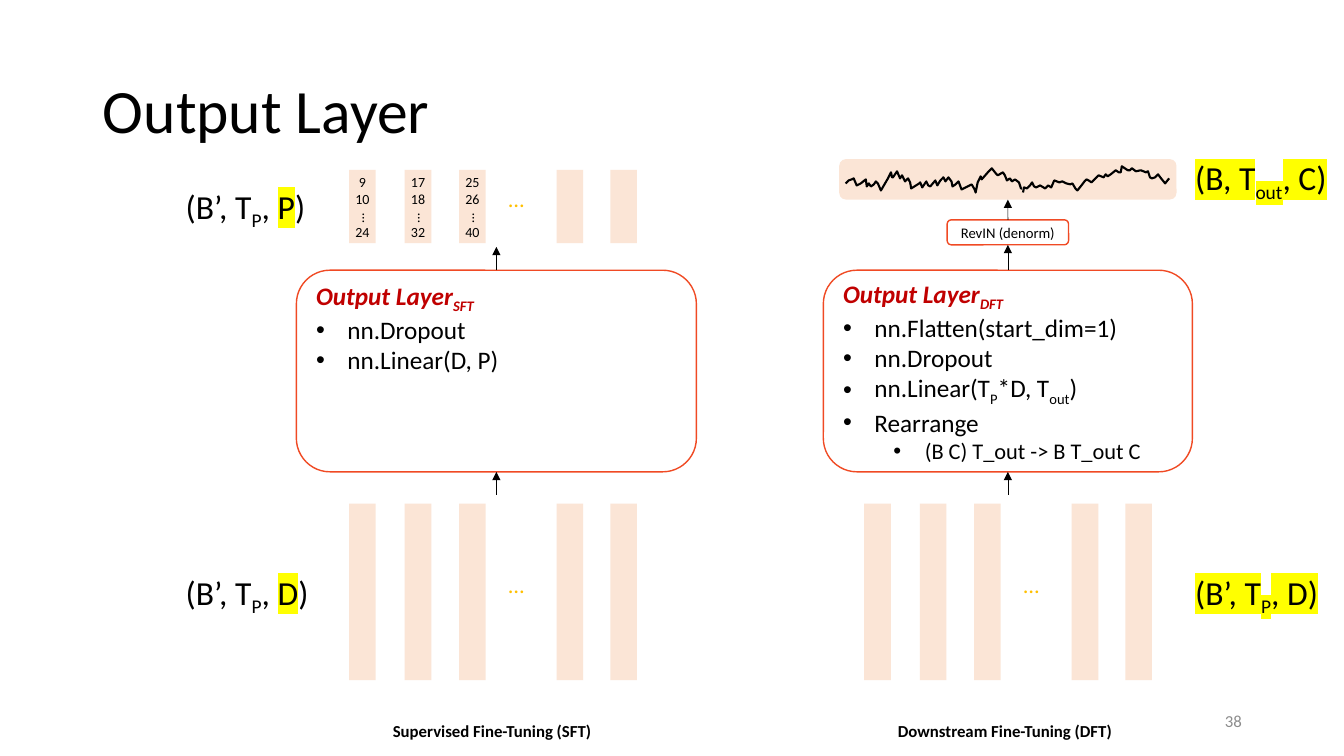
from dataclasses import dataclass

import pptx
import pptx.dml.color
import pptx.enum.shapes
import pptx.enum.text
import pptx.oxml
import pptx.oxml.ns
import pptx.util
from lxml import etree

Cm, Pt = pptx.util.Cm, pptx.util.Pt
SHAPE = pptx.enum.shapes.MSO_SHAPE
ALIGN = pptx.enum.text.PP_ALIGN
ANCHOR = pptx.enum.text.MSO_ANCHOR
qn = pptx.oxml.ns.qn


@dataclass(frozen=True)
class Theme:
    font: str = "Calibri"
    ink: str = "000000"
    grey: str = "8C8C8C"
    peach: str = "FBE5D6"
    outline: str = "F04A24"
    heading: str = "C00000"
    dots: str = "FFC000"
    marker: str = "FFFF00"
    title: float = 44
    label: float = 24
    body: float = 18
    detail: float = 16
    caption: float = 12
    small: float = 10.5
    tiny: float = 10


THEME = Theme()


@dataclass(frozen=True)
class Span:
    text: str
    sub: bool = False
    marked: bool = False


@dataclass(frozen=True)
class Line:
    spans: tuple[Span, ...]
    size: float
    colour: str = THEME.ink
    bold: bool = False
    italic: bool = False
    indent: float = 0  # bullet text indent in cm
    align: ALIGN = ALIGN.LEFT
    before: float = 0


@dataclass(frozen=True)
class Area:
    left: float
    top: float
    width: float
    height: float


@dataclass(frozen=True)
class Label:
    area: Area
    spans: tuple[Span, ...]


def plain(text: str, size: float, **style) -> Line:
    return Line((Span(text),), size, **style)


def cm(area: Area) -> tuple:
    return Cm(area.left), Cm(area.top), Cm(area.width), Cm(area.height)


def rgb(colour: str):
    return pptx.dml.color.RGBColor.from_string(colour)


def add_bullet(para, indent: float) -> None:
    props = para._p.get_or_add_pPr()
    props.set("marL", str(Cm(indent)))
    props.set("indent", str(-Cm(0.79)))
    etree.SubElement(props, qn("a:buFont")).set("typeface", "Arial")
    etree.SubElement(props, qn("a:buChar")).set("char", "•")


def write(frame, lines: list[Line]) -> None:
    for index, line in enumerate(lines):
        para = frame.add_paragraph() if index else frame.paragraphs[0]
        if line.indent:
            add_bullet(para, line.indent)
        para.alignment = line.align
        if line.before:
            para.space_before = Pt(line.before)
        para.text = line.spans[0].text
        for span in line.spans[1:]:
            para.add_run().text = span.text
        for run, span in zip(para.runs, line.spans):
            font = run.font
            font.name, font.size = THEME.font, Pt(line.size)
            font.bold, font.italic = line.bold, line.italic
            font.color.rgb = rgb(line.colour)
            props = run._r.get_or_add_rPr()
            if span.sub:
                props.set("baseline", "-25000")
            if span.marked:
                highlight = etree.Element(qn("a:highlight"))
                etree.SubElement(highlight, qn("a:srgbClr")).set("val", THEME.marker)
                props.find(qn("a:solidFill")).addnext(highlight)


def add_text(page, area: Area, lines: list[Line], wrap: bool = False):
    box = page.shapes.add_textbox(*cm(area))
    box.text_frame.word_wrap = wrap
    write(box.text_frame, lines)
    return box


def add_block(page, kind: SHAPE, area: Area, fill: str = "", outline: str = ""):
    block = page.shapes.add_shape(kind, *cm(area))
    block.shadow.inherit = False
    if fill:
        block.fill.solid()
        block.fill.fore_color.rgb = rgb(fill)
    else:
        block.fill.background()
    if outline:
        block.line.color.rgb = rgb(outline)
        block.line.width = Pt(1)
    else:
        block.line.fill.background()
    return block


def add_panel(page, area: Area, lines: list[Line], anchor: ANCHOR):
    panel = add_block(page, SHAPE.ROUNDED_RECTANGLE, area, outline=THEME.outline)
    panel.text_frame.vertical_anchor = anchor
    panel.text_frame.word_wrap = True
    write(panel.text_frame, lines)
    return panel


def add_arrow(page, x: float, start: float, end: float, source=None, target=None) -> None:
    arrow = page.shapes.add_connector(
        pptx.enum.shapes.MSO_CONNECTOR.STRAIGHT, Cm(x), Cm(start), Cm(x), Cm(end))
    if source is not None:
        arrow.begin_connect(source, 0)
    if target is not None:
        arrow.end_connect(target, 2)
    arrow.line.color.rgb = rgb(THEME.ink)
    arrow.line.width = Pt(0.5)
    etree.SubElement(arrow.line._get_or_add_ln(), qn("a:tailEnd")).set("type", "triangle")
    etree.SubElement(arrow._element.spPr, qn("a:effectLst"))


BAR_WIDTH = 0.67
BAR_STEPS = (0, 1.4, 2.77, 5.23, 6.58)


def add_bars(page, left: float, top: float, height: float, dots_top: float) -> None:
    for step in BAR_STEPS:
        add_block(page, SHAPE.RECTANGLE, Area(left + step, top, BAR_WIDTH, height), THEME.peach)
    add_text(page, Area(left + 3.77, dots_top, 0.91, 0.81),
             [plain("…", THEME.detail, colour=THEME.dots)])


# Signal points in hundredths of an inch
WAVE_UNIT = Cm(0.0254)
WAVES = (
    [(839, 182), (842, 179), (845, 178), (847, 177), (850, 184), (854, 182), (859, 178),
     (860, 185), (862, 182), (864, 185), (867, 183), (869, 180), (871, 182), (874, 189),
     (881, 177), (884, 171), (885, 176), (886, 176), (890, 170), (893, 177), (895, 174),
     (898, 180), (901, 177), (903, 181), (904, 187), (912, 182), (913, 181), (915, 186),
     (919, 180), (921, 184), (923, 185), (928, 179), (930, 184), (933, 179), (936, 176),
     (938, 180), (941, 176), (944, 180), (945, 185), (948, 183), (951, 180), (954, 188),
     (962, 184), (964, 183), (967, 188), (968, 191), (970, 181), (973, 175), (974, 178),
     (981, 170), (984, 167), (988, 172), (990, 174), (995, 171), (997, 174), (999, 179),
     (1002, 177), (1004, 180), (1007, 178), (1011, 181), (1013, 187), (1014, 187)],
    [(1160, 177), (1156, 182), (1152, 177), (1149, 173), (1146, 176), (1143, 177),
     (1141, 176), (1139, 170), (1137, 171), (1132, 169), (1127, 170), (1123, 167),
     (1121, 169), (1119, 169), (1113, 165), (1112, 171), (1110, 171), (1107, 169),
     (1102, 173), (1099, 175), (1097, 173), (1095, 176), (1090, 174), (1086, 178),
     (1083, 181), (1080, 179), (1078, 178), (1076, 180), (1073, 184), (1069, 189),
     (1067, 187), (1064, 182), (1062, 183), (1058, 182), (1054, 180), (1051, 181),
     (1046, 179), (1043, 186), (1040, 184), (1037, 187), (1032, 184), (1028, 186),
     (1026, 185), (1024, 181), (1022, 184), (1019, 187), (1016, 186), (1015, 191)],
)
SFT_X, DFT_X = 12.51, 25.4
SFT_BARS, DFT_BARS = 8.8, 21.78
HEADING = dict(size=THEME.body, colour=THEME.heading, bold=True, italic=True)
SFT_LINES = [
    Line((Span("Output Layer"), Span("SFT", sub=True)), **HEADING),
    *(plain(text, THEME.body, indent=0.79) for text in ("nn.Dropout", "nn.Linear(D, P)")),
]
DFT_LINES = [
    Line((Span("Output Layer"), Span("DFT", sub=True)), **HEADING),
    *(plain(text, THEME.body, indent=0.79) for text in ("nn.Flatten(start_dim=1)", "nn.Dropout")),
    Line((Span("nn.Linear(T"), Span("P", sub=True), Span("*D, T"), Span("out", sub=True),
          Span(")")), THEME.body, indent=0.79),
    plain("Rearrange", THEME.body, indent=0.79),
    plain("(B C) T_out -> B T_out C", THEME.detail, indent=2.06),
]
BATCH = (Span("(B’, T"), Span("P", sub=True), Span(", "))
LABELS = (
    Label(Area(4.43, 4.55, 3.7, 1.27), (*BATCH, Span("P", marked=True), Span(")"))),
    Label(Area(4.43, 14.28, 3.7, 1.27), (*BATCH, Span("D", marked=True), Span(")"))),
    Label(Area(29.87, 14.28, 3.7, 1.27),
          (Span("(B’, T", marked=True), Span("P", True, True), Span(", D)", marked=True))),
    Label(Area(29.87, 3.84, 3.95, 1.27),
          (Span("(B, T", marked=True), Span("out", True, True), Span(", C)", marked=True))),
)
PATCHES = (("9", "10", "24"), ("17", "18", "32"), ("25", "26", "40"))
CAPTIONS = ((Area(9.65, 18.03, 5.87, 0.76), "Supervised Fine-Tuning (SFT)"),
            (Area(22.38, 18.03, 6.17, 0.76), "Downstream Fine-Tuning (DFT)"))


def main() -> None:
    deck = pptx.Presentation()
    deck.slide_width, deck.slide_height = Cm(33.87), Cm(19.05)
    page = deck.slides.add_slide(deck.slide_layouts[5])

    # Title and page number
    title = page.shapes.title
    title.left, title.top, title.width, title.height = cm(Area(2.34, 1.02, 29.21, 3.68))
    title.text_frame.vertical_anchor = ANCHOR.MIDDLE
    write(title.text_frame, [plain("Output Layer", THEME.title)])
    title.text_frame.paragraphs[0].line_spacing = 0.9
    number = add_text(page, Area(23.93, 17.65, 7.62, 1.02),
                      [plain("38", THEME.caption, colour=THEME.grey, align=ALIGN.RIGHT)], True)
    number.text_frame.vertical_anchor = ANCHOR.MIDDLE

    # Embedding bars and output patches
    for left in (SFT_BARS, DFT_BARS):
        add_bars(page, left, 12.69, 4.45, 14.27)
    add_bars(page, SFT_BARS, 4.28, 1.85, 4.55)
    for step, (first, second, last) in zip(BAR_STEPS, PATCHES):
        left = SFT_BARS + step
        add_text(page, Area(left - 0.11, 4.24, 0.89, 1.96), [
            plain(first, THEME.tiny, align=ALIGN.CENTER),
            plain(second, THEME.tiny, align=ALIGN.CENTER),
            plain(last, THEME.tiny, align=ALIGN.CENTER, before=12)])
        dots = add_text(page, Area(left + 0.14, 5.11, 0.66, 0.69), [plain("…", THEME.tiny)])
        dots.rotation = 90

    # Output signal
    signal = add_block(page, SHAPE.ROUNDED_RECTANGLE, Area(DFT_X - 4.25, 4.01, 8.5, 1.02), THEME.peach)
    for points in WAVES:
        builder = page.shapes.build_freeform(*points[0], scale=WAVE_UNIT)
        builder.add_line_segments(points[1:], close=False)
        wave = builder.convert_to_shape()
        wave.shadow.inherit = False
        wave.fill.background()
        wave.line.color.rgb = rgb(THEME.ink)
        wave.line.width = Pt(1.5)

    # Layer panels
    sft = add_panel(page, Area(SFT_X - 5.04, 6.81, 10.08, 5.08), SFT_LINES, ANCHOR.TOP)
    sft.text_frame.margin_top = 0
    dft = add_panel(page, Area(DFT_X - 4.65, 6.81, 9.3, 5.08), DFT_LINES, ANCHOR.MIDDLE)
    revin = add_panel(page, Area(DFT_X - 1.53, 5.54, 3.06, 0.63),
                      [plain("RevIN (denorm)", THEME.small, align=ALIGN.CENTER)], ANCHOR.MIDDLE)
    revin.text_frame.margin_left = revin.text_frame.margin_right = 0

    # Arrows
    add_arrow(page, SFT_X, 12.47, 11.89, target=sft)
    add_arrow(page, DFT_X, 12.47, 11.89, target=dft)
    add_arrow(page, SFT_X, 6.81, 6.22, source=sft)
    add_arrow(page, DFT_X, 6.81, 6.17, source=dft, target=revin)
    add_arrow(page, DFT_X, 5.54, 5.03, source=revin, target=signal)

    # Shape labels and captions
    for label in LABELS:
        add_text(page, label.area, [Line(label.spans, THEME.label)])
    for area, text in CAPTIONS:
        add_text(page, area, [plain(text, THEME.caption, bold=True)], True)

    deck.save("out.pptx")


if __name__ == "__main__":
    main()
